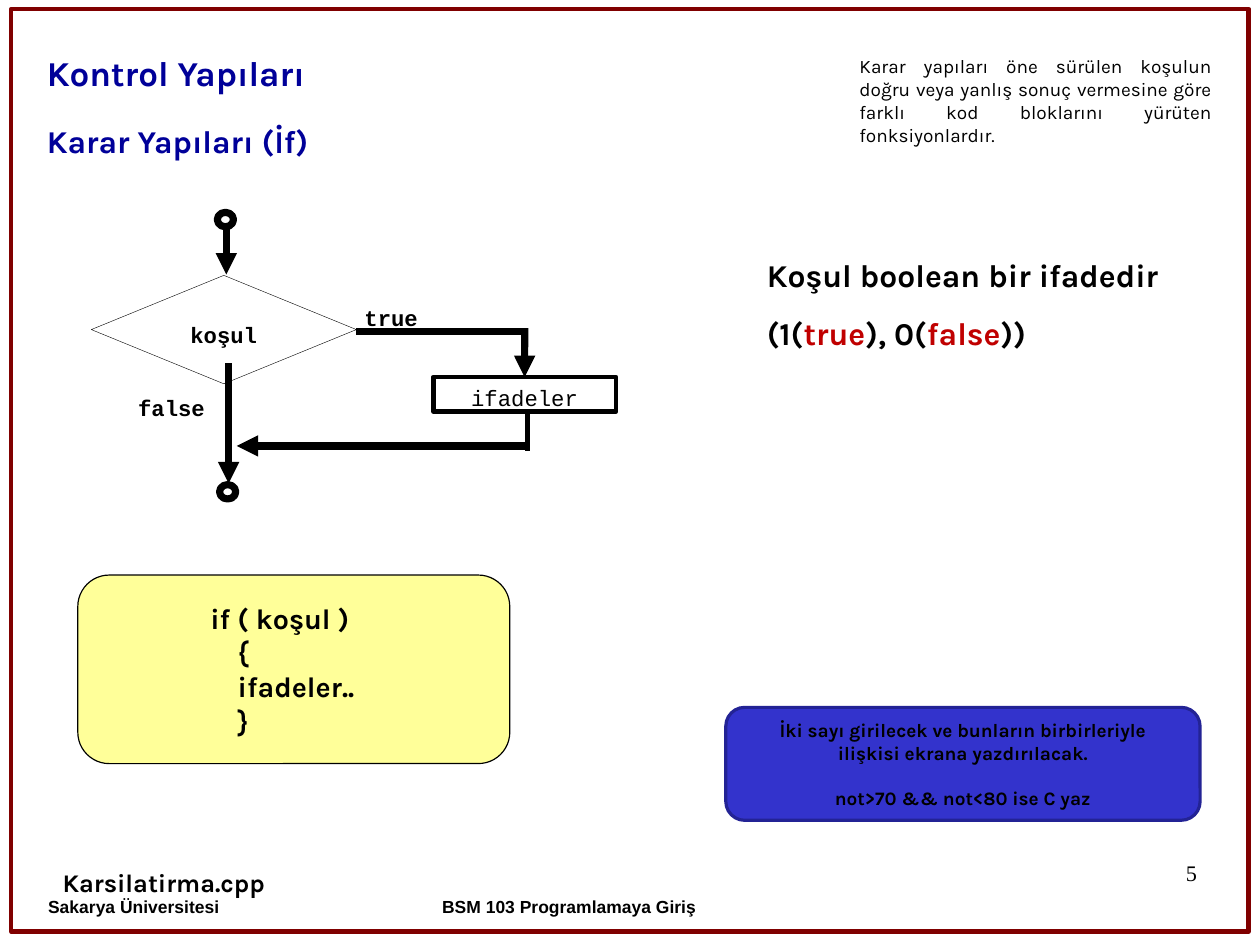
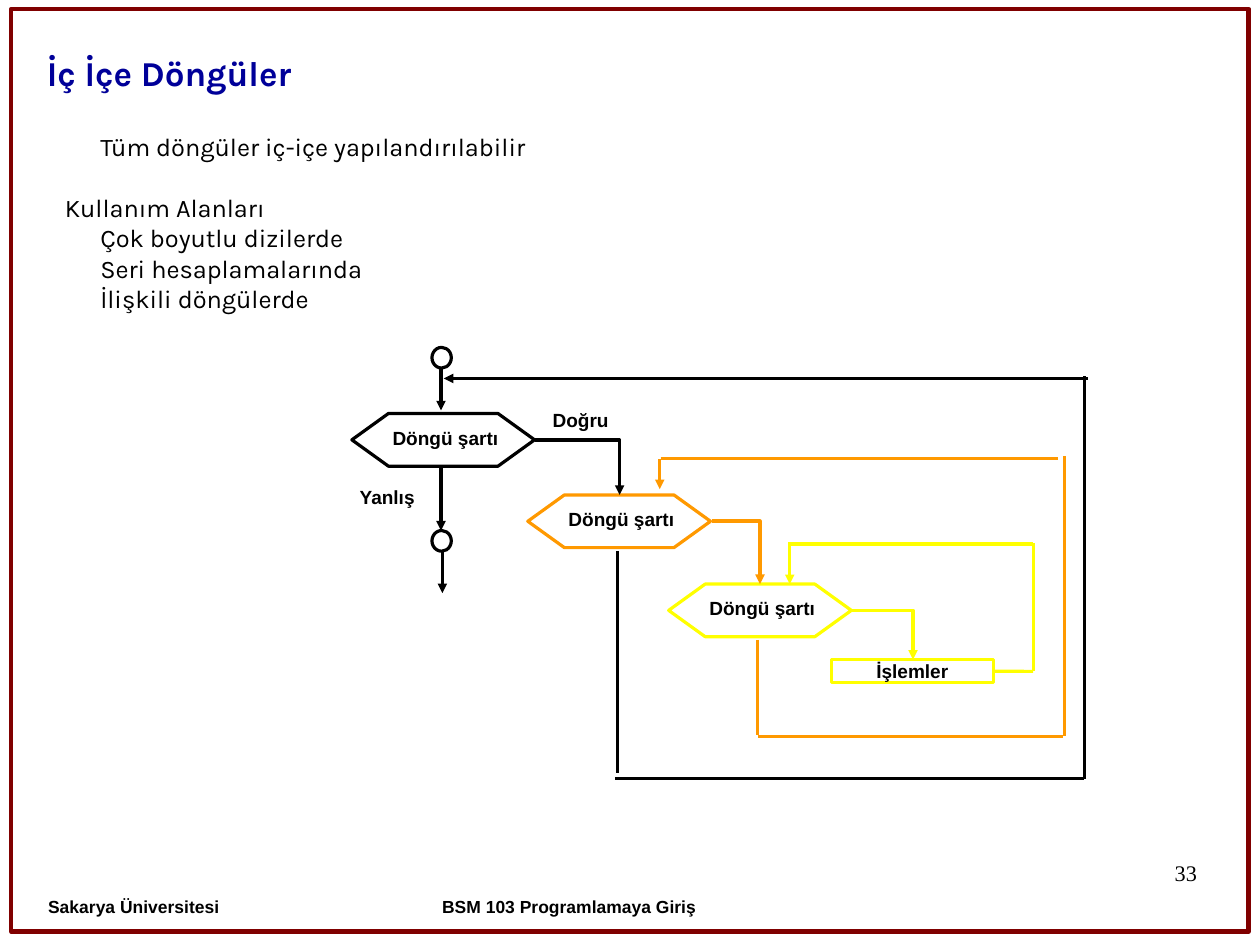
from pptx import Presentation
from pptx.dml.color import RGBColor
from pptx.enum.shapes import MSO_CONNECTOR, MSO_SHAPE
from pptx.enum.text import MSO_ANCHOR, PP_ALIGN
from pptx.oxml.ns import qn
from pptx.util import Cm, Pt
from lxml import etree

BLACK, NAVY, RED, MAROON = "000000", "000099", "C00000", "800000"
ORANGE, YELLOW = "FF9900", "FFFF00"
INSETS = (0.25, 0.13, 0.25, 0.13)
NONE = (0, 0, 0, 0)
LEFT, CENTER, RIGHT, JUSTIFY = PP_ALIGN.LEFT, PP_ALIGN.CENTER, PP_ALIGN.RIGHT, PP_ALIGN.JUSTIFY
TOP, MIDDLE, BOTTOM = MSO_ANCHOR.TOP, MSO_ANCHOR.MIDDLE, MSO_ANCHOR.BOTTOM

KARLA = {"font": "Karla", "size": 16, "bold": True}
HEADING = {**KARLA, "color": NAVY, "align": JUSTIFY, "anchor": BOTTOM}
CODE = {"font": "Courier New", "size": 14, "bold": True, "insets": NONE}
LABEL = {"font": "Arial", "size": 12, "bold": True, "align": CENTER, "insets": NONE}
FOOTER = {"font": "Arial", "size": 11, "bold": True, "insets": (0.56, 0.46, 0.56, 0.43),
          "spacing": 0.93}
NUMBER = {"font": "Times New Roman", "size": 14, "align": RIGHT, "insets": NONE, "spacing": 0.95}


def rgb(value):
    return RGBColor.from_string(value)


class Deck:
    """Holds the presentation, its shared style and the current slide."""

    def __init__(self, width, height):
        self.prs = Presentation()
        self.prs.slide_width, self.prs.slide_height = Cm(width), Cm(height)

    def page(self, title, number):
        self.slide = self.prs.slides.add_slide(self.prs.slide_layouts[6])
        frame = self.shape(MSO_SHAPE.ROUNDED_RECTANGLE, (0.25, 0.2, 27.5, 20.5), MAROON, 2.83)
        frame.adjustments[0] = 0
        self.text((20.07, 19.13, 6.53, 1.45), [number], **NUMBER)
        self.text((0.79, 0.69, 20.32, 1.52), [title], **{**HEADING, "size": 22})
        self.text((0.51, 19.71, 6, 1.37), ["Sakarya Üniversitesi"], **FOOTER)
        self.text((7.9, 19.71, 9.5, 1.3), ["BSM 103 Programlamaya Giriş"],
                  **FOOTER, align=CENTER)

    def fill_text(self, sp, paragraphs, font, size, bold=False, color=BLACK, align=LEFT,
                  anchor=TOP, insets=INSETS, spacing=None, before=(), indents=(), hanging=0,
                  wrap=True):
        tf = sp.text_frame
        sides = ("margin_left", "margin_top", "margin_right", "margin_bottom")
        frame = {"word_wrap": wrap, "vertical_anchor": anchor,
                 **{side: Cm(inset) for side, inset in zip(sides, insets)}}
        for name, value in frame.items():
            setattr(tf, name, value)
        for i, content in enumerate(paragraphs):
            p = tf.paragraphs[0] if i == 0 else tf.add_paragraph()
            if i < len(indents):
                pPr = p._p.get_or_add_pPr()
                pPr.set("marL", str(Cm(indents[i])))
                pPr.set("indent", str(Cm(-hanging)))
            layout = {"alignment": align, "line_spacing": spacing,
                      "space_before": Pt(before[i]) if i < len(before) and before[i] else None}
            for name, value in layout.items():
                setattr(p, name, value)
            runs = [(content, color)] if isinstance(content, str) else content
            for words, tint in runs:
                for j, line in enumerate(words.split("\n")):
                    if j:
                        p.add_line_break()
                    r = p.add_run()
                    r.text = line
                    for name, value in {"name": font, "size": Pt(size), "bold": bold}.items():
                        setattr(r.font, name, value)
                    r.font.color.rgb = rgb(tint)

    def text(self, box, paragraphs, **fmt):
        sp = self.slide.shapes.add_textbox(*map(Cm, box))
        self.fill_text(sp, paragraphs, **fmt)

    def shape(self, kind, box, line, width, fill=None, paragraphs=(), **fmt):
        sp = self.slide.shapes.add_shape(kind, *map(Cm, box))
        sp.shadow.inherit = False
        if fill:
            sp.fill.solid()
            sp.fill.fore_color.rgb = rgb(fill)
        else:
            sp.fill.background()
        sp.line.color.rgb = rgb(line)
        sp.line.width = Pt(width)
        if paragraphs:
            self.fill_text(sp, paragraphs, **fmt)
        return sp

    def line(self, x1, y1, x2, y2, color=BLACK, width=2, arrow=False, cap="flat", bent=False):
        kind = MSO_CONNECTOR.ELBOW if bent else MSO_CONNECTOR.STRAIGHT
        sp = self.slide.shapes.add_connector(kind, *map(Cm, (x1, y1, x2, y2)))
        sp.line.color.rgb = rgb(color)
        sp.line.width = Pt(width)
        spPr = sp._element.spPr
        if bent:
            spPr.find(qn("a:prstGeom")).set("prst", "bentConnector2")
        ln = spPr.find(qn("a:ln"))
        ln.set("cap", cap)
        if arrow:
            etree.SubElement(ln, qn("a:tailEnd")).set("type", "triangle")
        etree.SubElement(spPr, qn("a:effectLst"))
        return sp


def if_slide(deck):
    deck.page("Kontrol Yapıları", "5")
    deck.text((0.79, 2.16, 20.32, 1.52), ["Karar Yapıları (İf)"], **{**HEADING, "size": 20})
    deck.text((18.06, 1.09, 9.12, 2.29),
              ["Karar yapıları öne sürülen koşulun doğru veya yanlış sonuç vermesine göre "
               "farklı kod bloklarını yürüten fonksiyonlardır."],
              font="Karla", size=12, align=JUSTIFY, indents=(0.79,))

    thick = {"width": 4.5, "cap": "sq"}
    deck.shape(MSO_SHAPE.DIAMOND, (2.03, 6.12, 5.89, 2.41), BLACK, 0.25, paragraphs=["koşul"],
               **{**CODE, "align": CENTER, "insets": (0, 0.41, 0, 0)})
    statements = deck.shape(MSO_SHAPE.RECTANGLE, (9.63, 8.38, 4.06, 0.76), BLACK, 3,
                            paragraphs=["ifadeler"],
                            **{**CODE, "bold": False, "align": CENTER,
                               "insets": (0, 0.15, 0, 0)})
    for x, y in ((4.83, 4.72), (4.88, 10.77)):
        deck.shape(MSO_SHAPE.OVAL, (x, y, 0.36, 0.32), BLACK, 4.5)
    deck.line(5.03, 5.08, 5.03, 6.1, arrow=True, **thick)
    deck.line(5.08, 8.15, 5.08, 9.83, **thick)
    deck.line(5.08, 9.7, 5.08, 10.74, arrow=True, **thick)
    deck.line(7.98, 7.37, 11.66, 7.37, **thick)
    deck.line(11.66, 7.37, 11.66, 8.38, arrow=True, **thick).end_connect(statements, 0)
    deck.line(11.73, 9.14, 11.73, 9.98, width=3, cap="sq")
    deck.line(11.68, 9.91, 5.26, 9.91, arrow=True, **thick)
    deck.text((8.1, 6.76, 1.5, 0.69), ["true"], **CODE)
    deck.text((3.07, 8.76, 1.8, 0.69), ["false"], **CODE)

    deck.text((16.79, 5.56, 9.37, 3.25),
              ["Koşul boolean bir ifadedir",
               [("(1(", BLACK), ("true", RED), ("), 0(", BLACK), ("false", RED), ("))", BLACK)]],
              **{**KARLA, "size": 20}, align=JUSTIFY, before=(0, 12.5))
    deck.shape(MSO_SHAPE.ROUNDED_RECTANGLE, (1.73, 12.78, 9.6, 4.19), BLACK, 0.75, "FFFF99",
               ["if ( koşul )\n{\nifadeler..\n}"], **{**KARLA, "size": 18},
               anchor=MIDDLE, indents=(3.1,), hanging=0.61)
    deck.shape(MSO_SHAPE.ROUNDED_RECTANGLE, (16.13, 15.72, 10.54, 2.51), "232395", 2, "3333CC",
               ["İki sayı girilecek ve bunların birbirleriyle", "ilişkisi ekrana yazdırılacak.",
                "not>70 && not<80 ise C yaz"],
               **{**KARLA, "size": 12}, align=CENTER, anchor=MIDDLE, before=(0, 0, 14))
    deck.text((1.14, 19.15, 5.16, 0.94), ["Karsilatirma.cpp"], **KARLA, wrap=False)


def nested_loops_slide(deck):
    deck.page("İç İçe Döngüler", "33")
    deck.text((1.19, 2.79, 25.2, 4.32),
              ["Tüm döngüler iç-içe yapılandırılabilir", "Kullanım Alanları",
               "Çok boyutlu dizilerde", "Seri hesaplamalarında", "İlişkili döngülerde"],
              font="Karla", size=16, align=JUSTIFY, before=(0, 19),
              indents=(0.79, 0, 0.79, 0.79, 0.79))

    for x, y, color in ((7.82, 9.19, BLACK), (11.73, 11, ORANGE), (14.86, 12.98, YELLOW)):
        deck.shape(MSO_SHAPE.FLOWCHART_PREPARATION, (x, y, 4.06, 1.17), color, 2,
                   paragraphs=["Döngü şartı"],
                   **{**LABEL, "insets": (0.1, 0, 0, 0.1)}, anchor=MIDDLE, wrap=False)
    for y in (7.72, 11.79):
        deck.shape(MSO_SHAPE.FLOWCHART_CONNECTOR, (9.6, y, 0.43, 0.46), BLACK, 2)
    work = deck.shape(MSO_SHAPE.RECTANGLE, (18.47, 14.66, 3.61, 0.51), YELLOW, 2,
                      paragraphs=["İşlemler"], **LABEL, anchor=MIDDLE)
    for x, y, words in ((7.59, 10.8, "Yanlış"), (11.89, 9.07, "Doğru")):
        deck.text((x, y, 2.03, 0.51), [words], **LABEL)

    for color, ends in ((BLACK, (11.89, 9.78, 13.77, 11)),
                        (ORANGE, (15.82, 11.58, 16.89, 12.98)),
                        (YELLOW, (18.92, 13.56, 20.29, 14.66))):
        deck.line(*ends, color, arrow=True, bent=True)

    arrows = {BLACK: [(9.8, 8.2, 9.8, 9.12), (9.8, 10.41, 9.8, 11.79),
                      (9.83, 12.27, 9.83, 13.18), (24.18, 8.41, 9.86, 8.41)],
              ORANGE: [(14.66, 10.19, 14.66, 10.87)],
              YELLOW: [(17.55, 12.04, 17.55, 12.98)]}
    plain = {BLACK: [(13.72, 12.24, 13.72, 17.17), (13.67, 17.3, 24.08, 17.3),
                     (24.1, 17.3, 24.1, 8.36)],
             ORANGE: [(16.84, 14.22, 16.84, 16.33), (16.84, 16.36, 23.62, 16.36),
                      (23.65, 16.36, 23.65, 10.13), (14.68, 10.19, 23.52, 10.19)],
             YELLOW: [(22.96, 14.92, 22.96, 12.07), (22.96, 12.09, 17.5, 12.09)]}
    for group, arrow in ((arrows, True), (plain, False)):
        for color, lines in group.items():
            for ends in lines:
                deck.line(*ends, color, arrow=arrow)
    deck.line(22.08, 14.92, 22.96, 14.92, YELLOW).begin_connect(work, 3)


def main():
    deck = Deck(28, 21)
    if_slide(deck)
    nested_loops_slide(deck)
    deck.prs.save("out.pptx")


if __name__ == "__main__":
    main()
